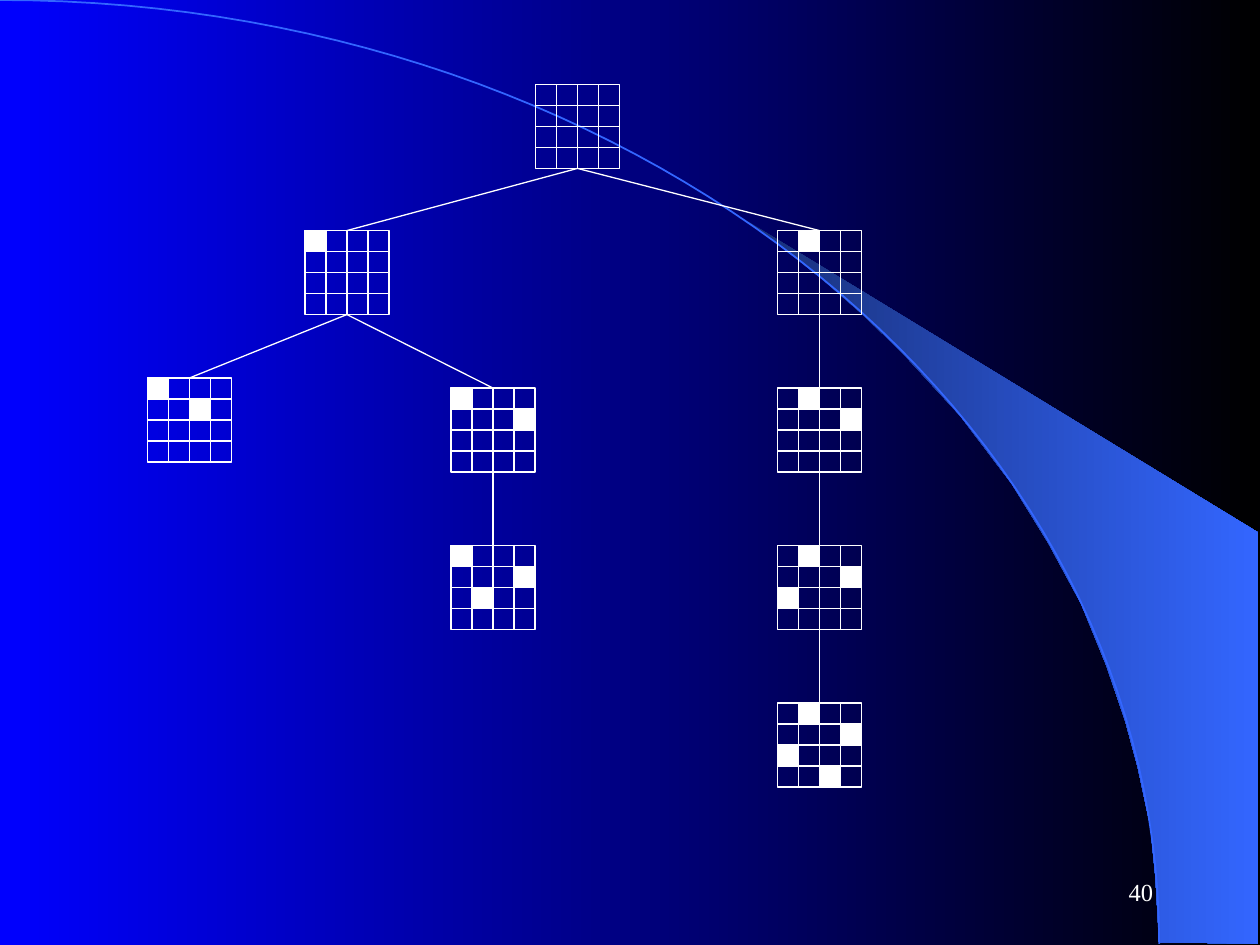
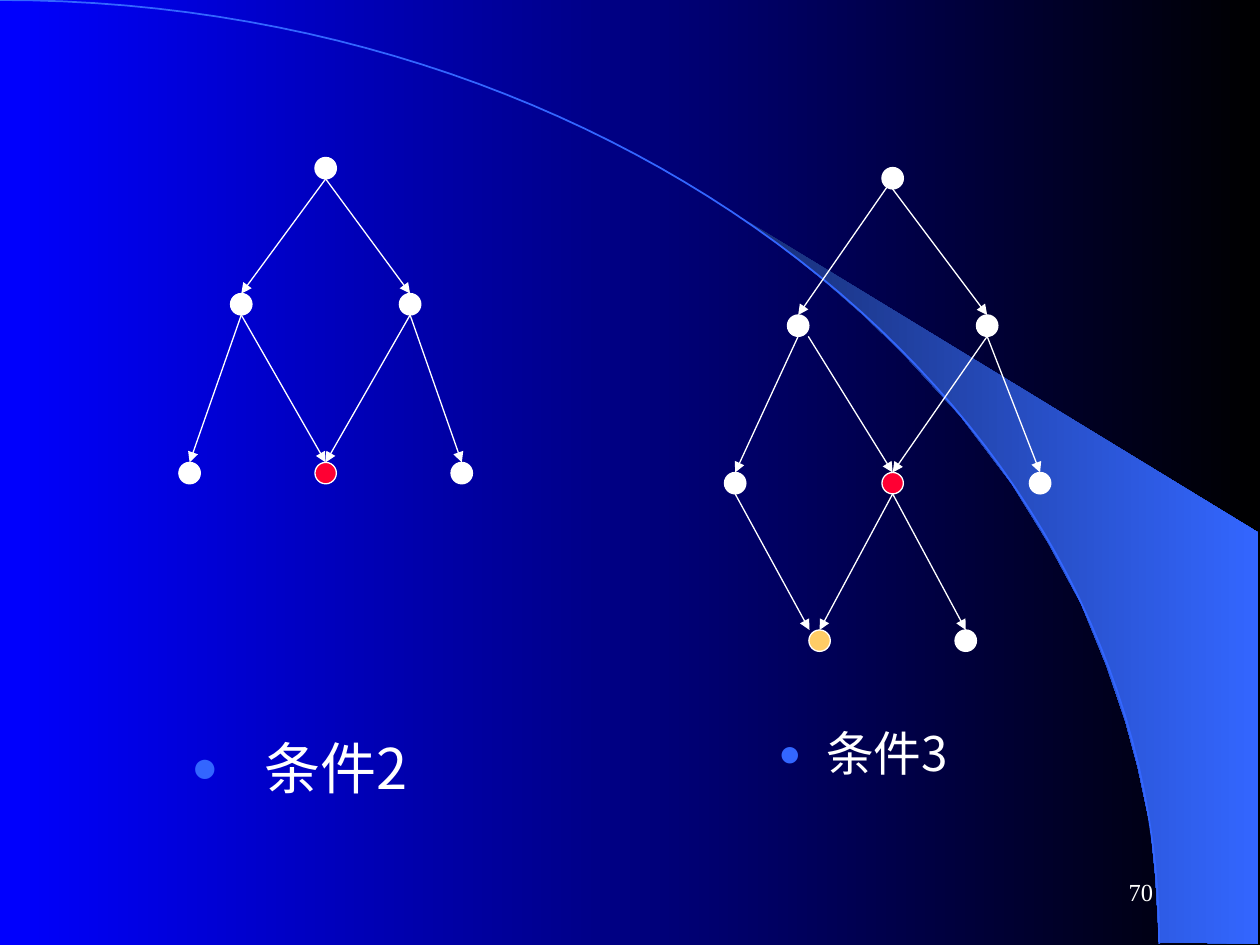
from lxml import etree
from pptx import Presentation
from pptx import util as u
from pptx.dml.color import RGBColor
from pptx.enum import shapes, text
from pptx.oxml import ns

# Shared look
WHITE, RED, AMBER = "FFFFFF", "FF0033", "FFCC66"
BLUE, BLACK, NAVY, SKY = "0000FF", "000000", "182F76", "3366FF"
LATIN, CHINESE = "Times New Roman", "Noto Sans CJK SC"
HAIRLINE = 0.75
CELL = 1 / 6
BOARD = 4 * CELL
NODE = 0.17

# Shared background outline, in inches
SWOOSH = [(9.2, 7.48), (9.99, 7.49), (9.99, 4.23), (5.89, 1.73), (6.24, 1.99),
          (6.53, 2.22), (6.85, 2.5), (7.16, 2.8), (7.62, 3.3), (8.03, 3.84),
          (8.32, 4.31), (8.58, 4.79), (8.78, 5.28), (8.93, 5.72), (9.03, 6.09),
          (9.13, 6.56), (9.17, 6.96)]
ARC = [(0, 0), (5.08, 0), (9.2, 3.35), (9.2, 7.49)]

# Boards: left, top, filled cells as (row, column)
BOARDS = {
    "root": (4.25, 0.67, []),
    "a": (2.42, 1.83, [(0, 0)]),
    "a1": (1.17, 3.0, [(0, 0), (1, 2)]),
    "a2": (3.58, 3.08, [(0, 0), (1, 3)]),
    "a3": (3.58, 4.33, [(0, 0), (1, 3), (2, 1)]),
    "b": (6.17, 1.83, [(0, 1)]),
    "b1": (6.17, 3.08, [(0, 1), (1, 3)]),
    "b2": (6.17, 4.33, [(0, 1), (1, 3), (2, 0)]),
    "b3": (6.17, 5.58, [(0, 1), (1, 3), (2, 0), (3, 2)]),
}
BRANCHES = [("root", "a"), ("root", "b"), ("a", "a1"), ("a", "a2"),
            ("a2", "a3"), ("b", "b1"), ("b1", "b2"), ("b2", "b3")]

# Graphs: nodes as (left, top, fill); edges as (from, to, start shift, end shift)
GRAPH_2 = {
    "top": (2.5, 1.25, WHITE), "left": (1.83, 2.33, WHITE),
    "right": (3.17, 2.33, WHITE), "far left": (1.42, 3.67, WHITE),
    "shared": (2.5, 3.67, RED), "far right": (3.58, 3.67, WHITE),
}
DIAMOND = [("top", "right"), ("left", "far left"), ("right", "far right"),
           ("right", "shared")]
EDGES_2 = DIAMOND + [("top", "left"), ("left", "shared")]
GRAPH_3 = {
    "top": (7.0, 1.33, WHITE), "left": (6.25, 2.5, WHITE),
    "right": (7.75, 2.5, WHITE), "far left": (5.75, 3.75, WHITE),
    "shared": (7.0, 3.75, RED), "far right": (8.17, 3.75, WHITE),
    "merged": (6.42, 5.0, AMBER), "last": (7.58, 5.0, WHITE),
}
EDGES_3 = DIAMOND + [
    ("top", "left", (0, -0.08)), ("left", "shared", (0.08, 0)),
    ("shared", "merged"), ("shared", "last"),
    ("far left", "merged", (0, 0), (-0.08, 0)),
]


def color(value):
    return RGBColor.from_string(value)


def inches(*values):
    return [u.Inches(value) for value in values]


def gradient(fill, first, last):
    fill.gradient()
    fill.gradient_angle = 0
    for stop, value in zip(fill.gradient_stops, (first, last)):
        stop.color.rgb = color(value)


def style(shape, fill=None, line=WHITE, width=HAIRLINE):
    shape.shadow.inherit = False
    if fill:
        shape.fill.solid()
        shape.fill.fore_color.rgb = color(fill)
    else:
        shape.fill.background()
    if line:
        shape.line.color.rgb = color(line)
        shape.line.width = u.Pt(width)
    else:
        shape.line.fill.background()
    return shape


def outline(page, points, close):
    points = [tuple(inches(*point)) for point in points]
    builder = page.shapes.build_freeform(*points[0])
    builder.add_line_segments(points[1:], close=close)
    return builder.convert_to_shape()


def bezier(controls, steps=60):
    for step in range(steps + 1):
        t = step / steps
        weights = ((1 - t) ** 3, 3 * t * (1 - t) ** 2, 3 * t * t * (1 - t), t ** 3)
        yield tuple(sum(w * point[axis] for w, point in zip(weights, controls))
                    for axis in (0, 1))


def add_line(page, start=(0, 0), end=(0, 0), arrow=False):
    line = page.shapes.add_connector(
        shapes.MSO_CONNECTOR.STRAIGHT, *inches(*start, *end))
    line.line.color.rgb = color(WHITE)
    line.line.width = u.Pt(HAIRLINE)
    if arrow:
        etree.SubElement(line.line._get_or_add_ln(), ns.qn("a:tailEnd"), type="triangle")
    etree.SubElement(line._element.spPr, ns.qn("a:effectLst"))
    return line


def add_text(page, left, top, width, height, wording, size, font):
    box = page.shapes.add_textbox(*inches(left, top, width, height))
    frame = box.text_frame
    frame.word_wrap = True
    frame.text = wording
    para = frame.paragraphs[0]
    span = para.runs[0]
    span.font.size = u.Pt(size)
    span.font.name = font
    span.font.color.rgb = color(WHITE)
    etree.SubElement(span.font._element, ns.qn("a:ea"), typeface=font)
    return frame


def add_caption(page, left, top, width, wording, size, indent):
    frame = add_text(page, left, top, width, 0.58, wording, size, CHINESE)
    para = frame.paragraphs[0]
    para.line_spacing = 0.9
    props = para._p.get_or_add_pPr()
    props.set("marL", str(u.Inches(indent)))
    props.set("indent", str(-u.Inches(indent)))
    tint = etree.SubElement(props, ns.qn("a:buClr"))
    etree.SubElement(tint, ns.qn("a:srgbClr"), val=SKY)
    etree.SubElement(props, ns.qn("a:buSzPct"), val="80000")
    etree.SubElement(props, ns.qn("a:buFont"), typeface=LATIN)
    etree.SubElement(props, ns.qn("a:buChar"), char="●")


def add_page(deck, number):
    page = deck.slides.add_slide(deck.slide_layouts[6])
    gradient(page.background.fill, BLUE, BLACK)
    swoosh = style(outline(page, SWOOSH, True), line=None)
    gradient(swoosh.fill, NAVY, SKY)
    style(outline(page, bezier(ARC), False), line=SKY, width=1)
    frame = add_text(page, 7.17, 6.83, 2.08, 0.5, number, 14, LATIN)
    frame.vertical_anchor = text.MSO_ANCHOR.MIDDLE
    frame.paragraphs[0].alignment = text.PP_ALIGN.RIGHT
    return page


def add_square(page, left, top, side, fill=None):
    return style(page.shapes.add_shape(
        shapes.MSO_SHAPE.RECTANGLE, *inches(left, top, side, side)), fill)


def add_board(page, left, top, queens):
    frame = add_square(page, left, top, BOARD)
    for step in range(1, 4):
        x, y = left + step * CELL, top + step * CELL
        add_line(page, (x, top), (x, top + BOARD))
        add_line(page, (left, y), (left + BOARD, y))
    for row, column in queens:
        add_square(page, left + column * CELL, top + row * CELL, CELL, WHITE)
    return frame


def add_graph(page, nodes, edges):
    for left, top, fill in nodes.values():
        style(page.shapes.add_shape(
            shapes.MSO_SHAPE.OVAL, *inches(left, top, NODE, NODE)), fill)
    for source, target, *shifts in edges:
        (start_x, start_y), (end_x, end_y) = (shifts + [(0, 0)] * 2)[:2]
        x1, y1, _ = nodes[source]
        x2, y2, _ = nodes[target]
        add_line(page, (x1 + NODE / 2 + start_x, y1 + NODE + start_y),
                 (x2 + NODE / 2 + end_x, y2 + end_y), arrow=True)


def main():
    deck = Presentation()
    deck.slide_width, deck.slide_height = inches(10, 7.5)

    # Search tree of boards
    page = add_page(deck, "40")
    frames = {name: add_board(page, *board) for name, board in BOARDS.items()}
    for parent, child in BRANCHES:
        branch = add_line(page)
        branch.begin_connect(frames[parent], 2)
        branch.end_connect(frames[child], 0)

    # Two graphs with captions
    page = add_page(deck, "70")
    add_caption(page, 1.42, 5.83, 2.08, "条件2", 32, 0.58)
    add_graph(page, GRAPH_2, EDGES_2)
    add_graph(page, GRAPH_3, EDGES_3)
    add_caption(page, 6.08, 5.75, 2.42, "条件3", 27.2, 0.38)

    deck.save("out.pptx")


if __name__ == "__main__":
    main()
